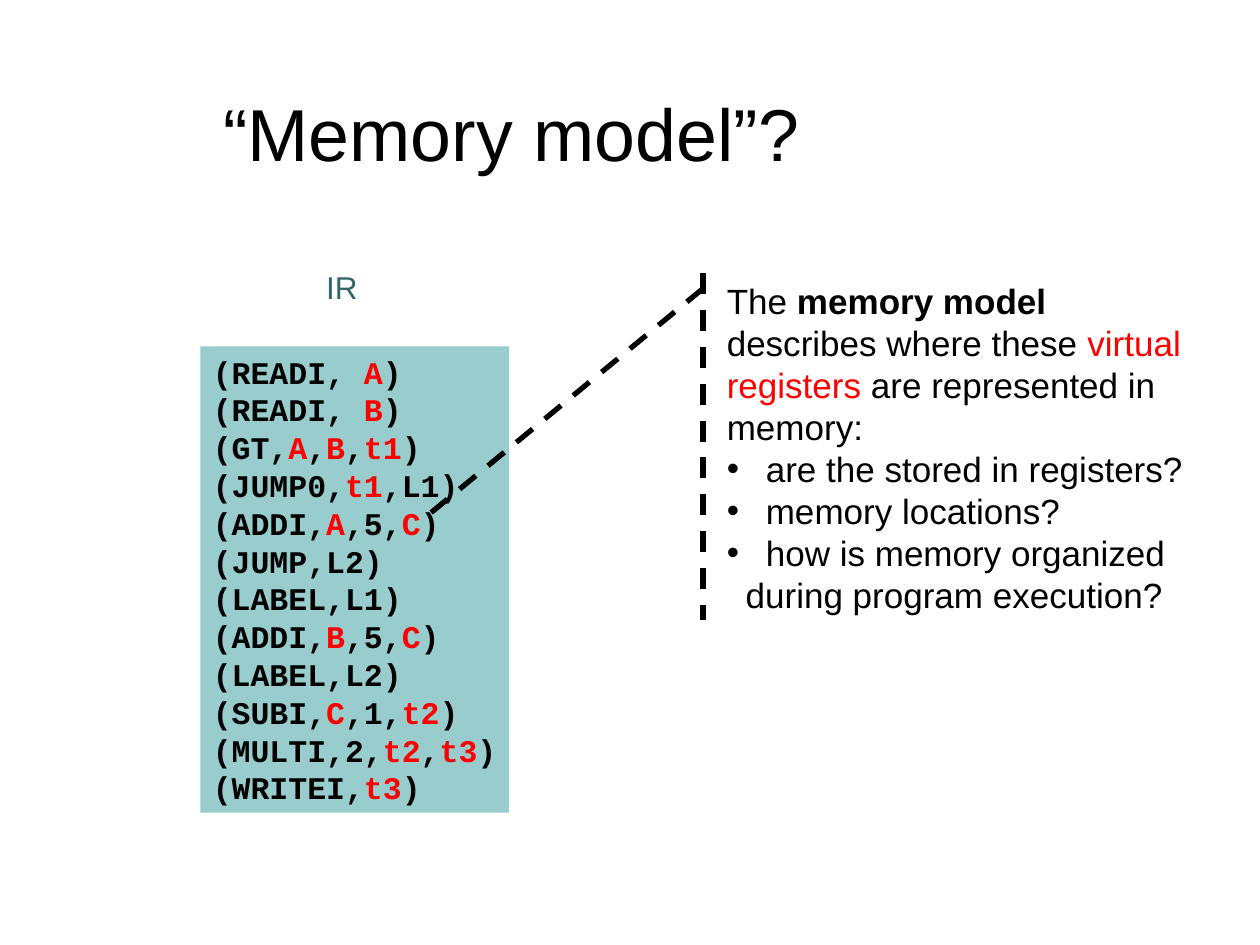
import pptx
import pptx.dml.color
import pptx.enum.dml
import pptx.enum.shapes
import pptx.enum.text
import pptx.util
from pptx.oxml import parse_xml
from pptx.oxml.ns import nsdecls

WIDTH, HEIGHT = 10, 7.5
BLACK, RED, TEAL, PALE_TEAL, WHITE = "000000", "FF0000", "336666", "99CCCC", "FFFFFF"
SANS, MONO = "Arial", "Courier New"
LINE_PITCH = 1.2

# Registers stand between bars
CODE = [
    "(READI, |A|)", "(READI, |B|)", "(GT,|A|,|B|,|t1|)", "(JUMP0,|t1|,L1)",
    "(ADDI,|A|,5,|C|)", "(JUMP,L2)", "(LABEL,L1)", "(ADDI,|B|,5,|C|)",
    "(LABEL,L2)", "(SUBI,|C|,1,|t2|)", "(MULTI,2,|t2|,|t3|)", "(WRITEI,|t3|)",
]
INTRODUCTION = [
    ("The ", BLACK, False), ("memory model", BLACK, True),
    (" describes where these ", BLACK, False), ("virtual registers", RED, False),
    (" are represented in memory:", BLACK, False),
]
QUESTIONS = ["are the stored in registers?", "memory locations?", "how is memory organized"]
CONTINUATION = "during program execution?"


def color(value):
    return pptx.dml.color.RGBColor.from_string(value)


def inches(box):
    return [pptx.util.Inches(length) for length in box]


def add_paragraph(frame, pieces, size, font):
    """Add a left-aligned line of (text, colour, bold) pieces."""
    first = frame.paragraphs[0]
    paragraph = frame.add_paragraph() if first.runs else first
    paragraph.alignment = pptx.enum.text.PP_ALIGN.LEFT
    paragraph.line_spacing = pptx.util.Pt(size * LINE_PITCH)
    for text, text_color, bold in pieces:
        run = paragraph.add_run()
        run.text = text
        run.font.name = font
        run.font.size = pptx.util.Pt(size)
        run.font.bold = bold
        run.font.color.rgb = color(text_color)
    return paragraph


def indent(paragraph, margin, bullet=False):
    properties = paragraph._p.get_or_add_pPr()
    properties.set("marL", str(pptx.util.Inches(margin)))
    properties.set("indent", str(pptx.util.Inches(-margin if bullet else 0)))
    if bullet:
        properties.append(parse_xml(f'<a:buFont {nsdecls("a")} typeface="{SANS}"/>'))
        properties.append(parse_xml(f'<a:buChar {nsdecls("a")} char="•"/>'))


def add_title(slide, box):
    title = slide.shapes.title
    title.left, title.top, title.width, title.height = inches(box)
    frame = title.text_frame
    frame.auto_size = pptx.enum.text.MSO_AUTO_SIZE.NONE
    frame.vertical_anchor = pptx.enum.text.MSO_ANCHOR.MIDDLE
    add_paragraph(frame, [("“Memory model”?", BLACK, False)], 42, SANS)


def add_code(slide, box):
    left, top, width, height = box
    # Heading, centred above the listing
    heading = slide.shapes.add_textbox(*inches((left + 0.9, top - 0.67, 0.45, 0.4)))
    heading.text_frame.word_wrap = False
    add_paragraph(heading.text_frame, [("IR", TEAL, False)], 18, SANS)

    # Listing
    panel = slide.shapes.add_shape(pptx.enum.shapes.MSO_SHAPE.RECTANGLE, *inches(box))
    panel.shadow.inherit = False
    panel.fill.solid()
    panel.fill.fore_color.rgb = color(PALE_TEAL)
    panel.line.fill.background()
    frame = panel.text_frame
    frame.word_wrap = False
    frame.vertical_anchor = pptx.enum.text.MSO_ANCHOR.TOP
    for line in CODE:
        pieces = [(text, RED if number % 2 else BLACK, True)
                  for number, text in enumerate(line.split("|"))]
        add_paragraph(frame, pieces, 18, MONO)


def add_callout(slide, box, bar, target):
    """Place the note; bar and target are the ends of its leader line."""
    left, top, width, height = box
    callout = slide.shapes.add_shape(
        pptx.enum.shapes.MSO_SHAPE.LINE_CALLOUT_1_ACCENT_BAR, *inches(box))
    ends = [((y - top) / height, (x - left) / width) for x, y in (bar, target)]
    for number, share in enumerate(ends[0] + ends[1]):
        callout.adjustments[number] = share
    callout.shadow.inherit = False
    callout.fill.solid()
    callout.fill.fore_color.rgb = color(WHITE)
    callout.line.color.rgb = color(BLACK)
    callout.line.width = pptx.util.Pt(3)
    callout.line.dash_style = pptx.enum.dml.MSO_LINE.DASH

    frame = callout.text_frame
    frame.word_wrap = True
    frame.vertical_anchor = pptx.enum.text.MSO_ANCHOR.TOP
    add_paragraph(frame, INTRODUCTION, 20, SANS)
    for question in QUESTIONS:
        indent(add_paragraph(frame, [(question, BLACK, False)], 20, SANS), 0.31, bullet=True)
    indent(add_paragraph(frame, [(CONTINUATION, BLACK, False)], 20, SANS), 0.15)


def main():
    presentation = pptx.Presentation()
    presentation.slide_width, presentation.slide_height = inches((WIDTH, HEIGHT))
    slide = presentation.slides.add_slide(presentation.slide_layouts[5])
    add_title(slide, (1.67, 0.21, 7.67, 1.67))
    add_code(slide, (1.59, 2.75, 2.45, 3.7))
    add_callout(slide, (5.67, 2.17, 4, 2.75), bar=(5.58, 2.29), target=(3.42, 4.07))
    presentation.save("out.pptx")


if __name__ == "__main__":
    main()
